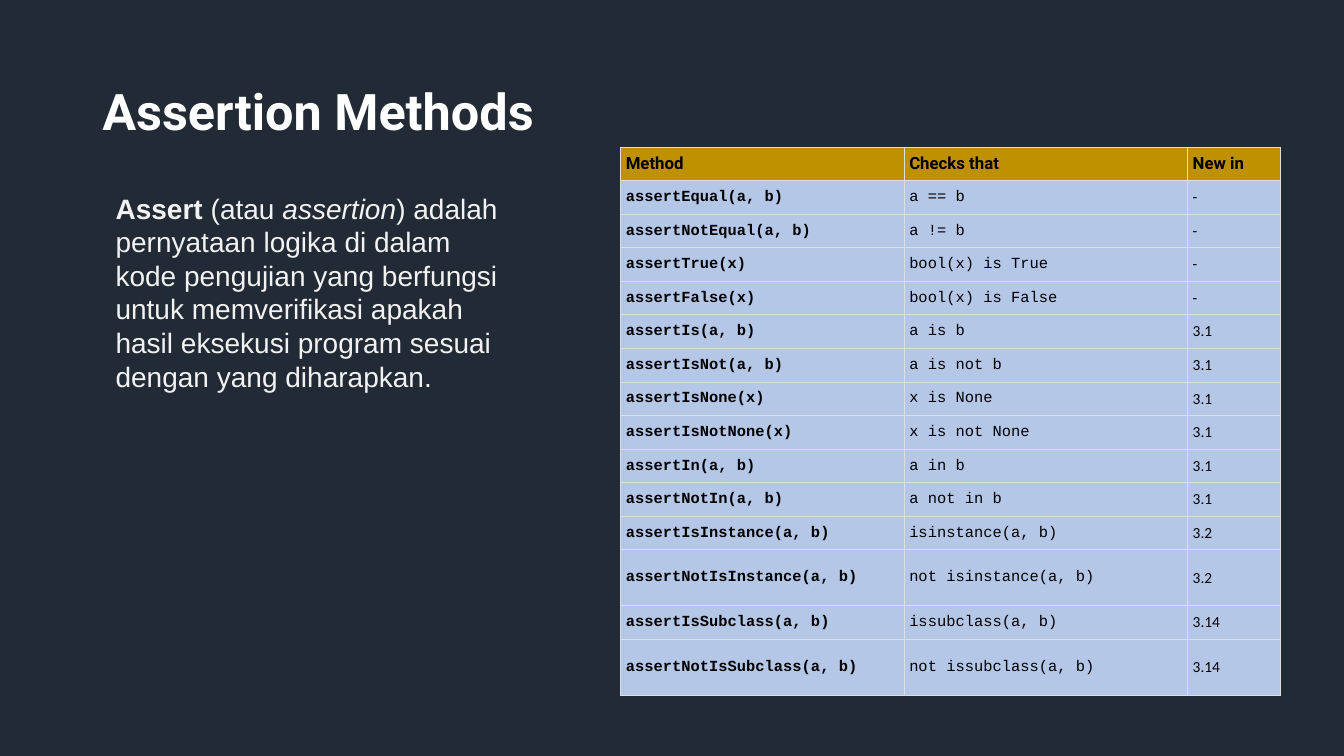
from dataclasses import dataclass

from lxml import etree
from pptx import Presentation
from pptx.dml.color import RGBColor
from pptx.enum.text import MSO_ANCHOR
from pptx.oxml import parse_xml
from pptx.oxml.ns import nsdecls
from pptx.util import Emu, Pt

MIDDLE = MSO_ANCHOR.MIDDLE
TOP = MSO_ANCHOR.TOP
SCALE = 6350  # EMU per px on a 1920 x 1080 slide


@dataclass(frozen=True)
class Style:
    face: str
    size: int
    color: str
    bold: bool = False


@dataclass(frozen=True)
class Box:
    left: int
    top: int
    width: int
    height: int


@dataclass(frozen=True)
class Method:
    call: str
    check: str
    since: str
    height: int = 48


TITLE = Style("Roboto", 36, "FFFFFF", True)
BODY = Style("Arial", 20, "F2F2F2")
HEAD = Style("Roboto", 12, "000000", True)
CALL = Style("Courier New", 11, "000000", True)
CHECK = Style("Courier New", 11, "000000")
SINCE = Style("Calibri", 11, "000000")

WIDTHS = (405, 405, 133)
TALL = 80
METHODS = (
    Method("assertEqual(a, b)", "a == b", "-"),
    Method("assertNotEqual(a, b)", "a != b", "-"),
    Method("assertTrue(x)", "bool(x) is True", "-"),
    Method("assertFalse(x)", "bool(x) is False", "-"),
    Method("assertIs(a, b)", "a is b", "3.1"),
    Method("assertIsNot(a, b)", "a is not b", "3.1"),
    Method("assertIsNone(x)", "x is None", "3.1"),
    Method("assertIsNotNone(x)", "x is not None", "3.1"),
    Method("assertIn(a, b)", "a in b", "3.1"),
    Method("assertNotIn(a, b)", "a not in b", "3.1"),
    Method("assertIsInstance(a, b)", "isinstance(a, b)", "3.2"),
    Method("assertNotIsInstance(a, b)", "not isinstance(a, b)", "3.2", TALL),
    Method("assertIsSubclass(a, b)", "issubclass(a, b)", "3.14"),
    Method("assertNotIsSubclass(a, b)", "not issubclass(a, b)", "3.14", TALL),
)


def px(value: int) -> Emu:
    return Emu(value * SCALE)


def paint(target, color: str) -> None:
    """Give a fill one solid colour."""
    target.solid()
    target.fore_color.rgb = RGBColor.from_string(color)


def dress(para, style: Style) -> None:
    """Set the font of a whole paragraph."""
    font = para.font
    font.name = style.face
    font.size = Pt(style.size)
    font.bold = style.bold
    paint(font.fill, style.color)


def add_text(slide, box: Box, style: Style, anchor):
    """Add an empty wrapped text box and return its paragraph."""
    shape = slide.shapes.add_textbox(
        px(box.left), px(box.top), px(box.width), px(box.height))
    frame = shape.text_frame
    frame.word_wrap = True
    frame.vertical_anchor = anchor
    para = frame.paragraphs[0]
    dress(para, style)
    return para


def add_edges(cell, color: str) -> None:
    """Draw a thin line on each side of a cell."""
    props = cell._tc.get_or_add_tcPr()
    for side in ("lnL", "lnR", "lnT", "lnB"):
        line = parse_xml(f'<a:{side} {nsdecls("a")} w="{Pt(0.75)}"/>')
        solid = etree.SubElement(line, line.tag.replace(side, "solidFill"))
        etree.SubElement(solid, line.tag.replace(side, "srgbClr"), val=color)
        props.append(line)


def fill_cell(cell, text: str, style: Style, color: str) -> None:
    add_edges(cell, "DDDDDD")
    paint(cell.fill, color)
    cell.vertical_anchor = MIDDLE
    cell.margin_left = cell.margin_right = px(7)
    cell.margin_top = cell.margin_bottom = px(7)
    para = cell.text_frame.paragraphs[0]
    para.text = text
    dress(para, style)


def add_methods(slide, left: int, top: int) -> None:
    """Draw the table: a header row, then one row per method."""
    rows = (Method("Method", "Checks that", "New in"), *METHODS)
    table = slide.shapes.add_table(
        len(rows), len(WIDTHS), px(left), px(top),
        px(sum(WIDTHS)), px(sum(row.height for row in rows))).table
    for column, width in zip(table.columns, WIDTHS):
        column.width = px(width)
    for r, row in enumerate(rows):
        table.rows[r].height = px(row.height)
        styles = (CALL, CHECK, SINCE) if r else (HEAD,) * 3
        color = "B4C7E7" if r else "BF9000"
        texts = (row.call, row.check, row.since)
        for c, (text, style) in enumerate(zip(texts, styles)):
            fill_cell(table.cell(r, c), text, style, color)


def main() -> None:
    deck = Presentation()
    deck.slide_width, deck.slide_height = px(1920), px(1080)
    slide = deck.slides.add_slide(deck.slide_layouts[6])
    paint(slide.background.fill, "222A35")

    # Title
    title = add_text(slide, Box(132, 58, 1656, 209), TITLE, MIDDLE)
    title.line_spacing = 0.9
    title.add_run().text = "Assertion Methods"

    # Table of methods
    add_methods(slide, 887, 210)

    # Definition
    body = add_text(slide, Box(151, 266, 582, 305), BODY, TOP)
    term, gloss, word, rest = (body.add_run() for _ in range(4))
    term.text = "Assert "
    term.font.bold = True
    gloss.text = "(atau "
    word.text = "assertion"
    word.font.italic = True
    rest.text = (
        ") adalah pernyataan logika di dalam kode pengujian yang berfungsi "
        "untuk memverifikasi apakah hasil eksekusi program sesuai dengan "
        "yang diharapkan.")

    deck.save("out.pptx")


if __name__ == "__main__":
    main()
